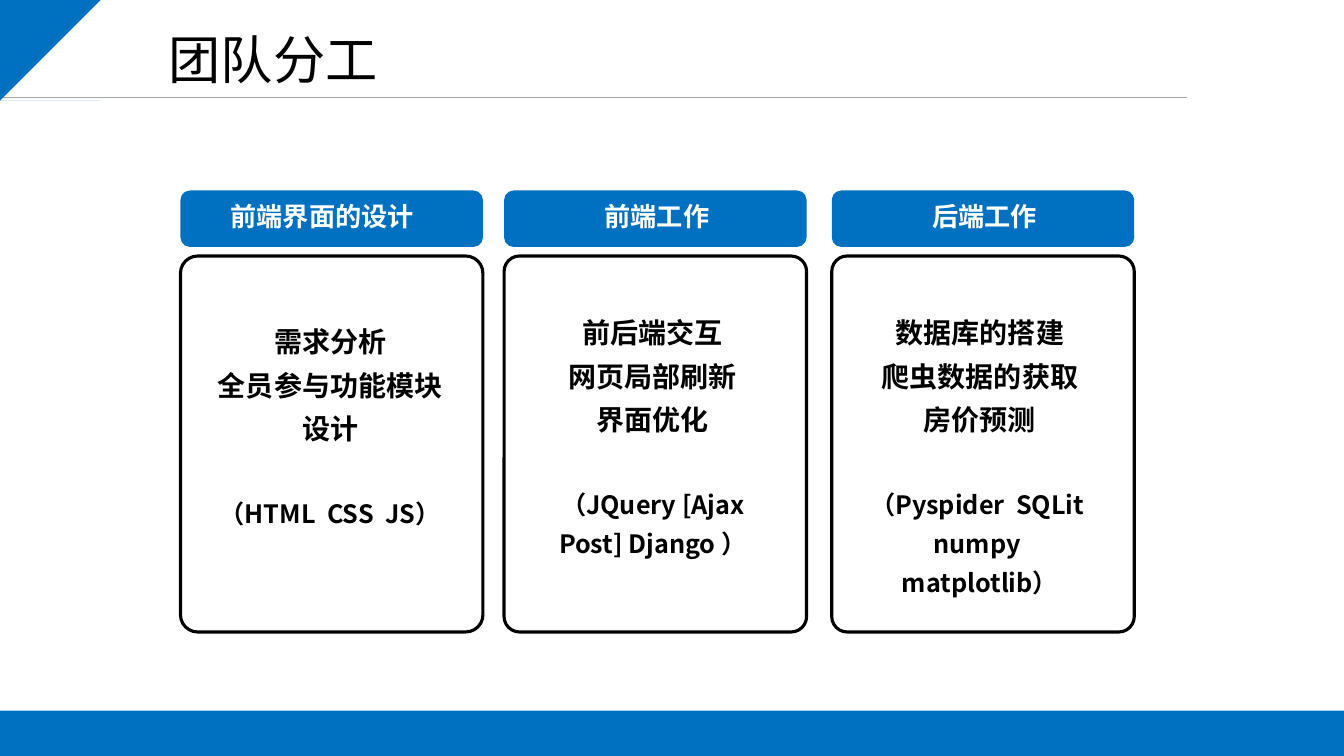
import pptx
import pptx.util
import pptx.dml.color
import pptx.enum.shapes
import pptx.enum.text
import pptx.oxml.ns
import pptx.oxml.xmlchemy

Inches = pptx.util.Inches
Pt = pptx.util.Pt
RGBColor = pptx.dml.color.RGBColor
Shape = pptx.enum.shapes.MSO_SHAPE
Element = pptx.oxml.xmlchemy.OxmlElement

BLUE = RGBColor(0x00, 0x70, 0xC0)
GREY = RGBColor(0xA5, 0xA5, 0xA5)
BLACK = RGBColor(0x00, 0x00, 0x00)
WHITE = RGBColor(0xFF, 0xFF, 0xFF)
FONT = "Noto Sans CJK SC"

PENCIL = [
    [(0.38, 0.82), (0.71, 0.82), (0.73, 0.83), (0.73, 0.84), (0.71, 0.85),
     (0.38, 0.85), (0.36, 0.84), (0.36, 0.83)],
    [(0.39, 0.66), (0.57, 0.37), (0.63, 0.41), (0.45, 0.7)],
    [(0.26, 0.59), (0.44, 0.3), (0.51, 0.34), (0.32, 0.62)],
    [(0.23, 0.82), (0.25, 0.68), (0.37, 0.75), (0.25, 0.83), (0.24, 0.83)],
    [(0.49, 0.22), (0.46, 0.26), (0.66, 0.37), (0.68, 0.33)],
    [(0.53, 0.15), (0.56, 0.13), (0.59, 0.14), (0.71, 0.21), (0.73, 0.24),
     (0.72, 0.27), (0.71, 0.29), (0.52, 0.18)],
]

# card left, corner, heading box left, body box (left, top, width, height),
# heading, duties, tools
TEAMS = [
    (1.79, 0.057, 1.85, (1.98, 3.06, 2.59, 2.26), "前端界面的设计",
     ["需求分析", "全员参与功能模块设计"], ["（HTML  CSS  JS）"]),
    (5, 0.051, 5.17, (5.17, 2.97, 2.61, 2.7), "前端工作",
     ["前后端交互", "网页局部刷新", "界面优化"],
     ["（JQuery [Ajax Post] Django ）"]),
    (8.25, 0.051, 8.42, (8.42, 2.97, 2.6, 2.61), "后端工作",
     ["数据库的搭建", "爬虫数据的获取", "房价预测"],
     ["（Pyspider  SQLit ", "numpy  matplotlib）"]),
]


class Deck:
    def __init__(self):
        self.prs = pptx.Presentation()
        self.prs.slide_width = Inches(13.33)
        self.prs.slide_height = Inches(7.5)
        self.slide = self.prs.slides.add_slide(self.prs.slide_layouts[6])
        self.shapes = self.slide.shapes

    def paint(self, shape, fill=None, line=None):
        shape.shadow.inherit = False
        if fill is None:
            shape.fill.background()
        else:
            shape.fill.solid()
            shape.fill.fore_color.rgb = fill
        if line is None:
            shape.line.fill.background()
        else:
            shape.line.color.rgb = line
            shape.line.width = Pt(2.25)

    def block(self, kind, box, fill=None, line=None, bend=None):
        shape = self.shapes.add_shape(kind, *map(Inches, box))
        if bend is not None:
            shape.adjustments[0] = bend
        self.paint(shape, fill, line)

    def rule(self, left, right, top):
        line = self.shapes.add_connector(
            pptx.enum.shapes.MSO_CONNECTOR.STRAIGHT,
            Inches(left), Inches(top), Inches(right), Inches(top))
        line.line.color.rgb = GREY
        line.line.width = Pt(1)
        line._element.spPr.append(Element("a:effectLst"))

    def icon(self, loops, fill):
        first = loops[0][0]
        pen = self.shapes.build_freeform(*first, scale=Inches(1))
        for loop in loops:
            if loop[0] != first:
                pen.move_to(*loop[0])
            pen.add_line_segments(loop[1:], close=True)
        self.paint(pen.convert_to_shape(), fill)

    def text(self, box, lines, color, inset, bold=True, pitch=None):
        """Centre lines given as (words, size, space before)."""
        frame = self.shapes.add_textbox(*map(Inches, box)).text_frame
        frame.word_wrap = True
        frame.auto_size = pptx.enum.text.MSO_AUTO_SIZE.SHAPE_TO_FIT_TEXT
        frame.margin_left = frame.margin_right = Inches(inset[0])
        frame.margin_top = frame.margin_bottom = Inches(inset[1])
        for i, (words, size, before) in enumerate(lines):
            para = frame.add_paragraph() if i else frame.paragraphs[0]
            para.alignment = pptx.enum.text.PP_ALIGN.CENTER
            if pitch:
                para.line_spacing = pitch
            if before:
                para.space_before = Pt(before)
            run = para.add_run()
            run.text = words
            font = run.font
            font.name, font.size, font.bold = FONT, Pt(size), bold
            font.color.rgb = color
            east = Element("a:ea")
            east.set("typeface", FONT)
            latin = run._r.rPr.find(pptx.oxml.ns.qn("a:latin"))
            latin.addnext(east)

    def save(self):
        self.prs.save("out.pptx")


def main():
    deck = Deck()
    deck.rule(0, 11.77, 0.97)
    deck.block(Shape.RECTANGLE, (0, 7.05, 13.33, 0.46), BLUE)
    deck.icon(PENCIL, BLUE)
    deck.text((0.85, 0.2, 3.72, 0.76), [("团队分工", 37.3, 0)],
              BLACK, (0.13, 0.07), bold=False)
    for left, bend, tab, body, head, duties, tools in TEAMS:
        deck.block(Shape.ROUNDED_RECTANGLE, (left, 2.54, 3, 3.73),
                   line=BLACK, bend=bend)
        deck.block(Shape.ROUNDED_RECTANGLE, (left, 1.89, 3, 0.56), BLUE)
        deck.text((tab, 1.93, 2.69, 0.43), [(head, 18.7, 0)],
                  WHITE, (0.11, 0.06))
        lines = [(duty, 20, 0) for duty in duties]
        lines += [(tool, 18, 0 if i else 31) for i, tool in enumerate(tools)]
        deck.text(body, lines, BLACK, (0.11, 0.06), pitch=1.3)
    deck.save()


if __name__ == "__main__":
    main()
